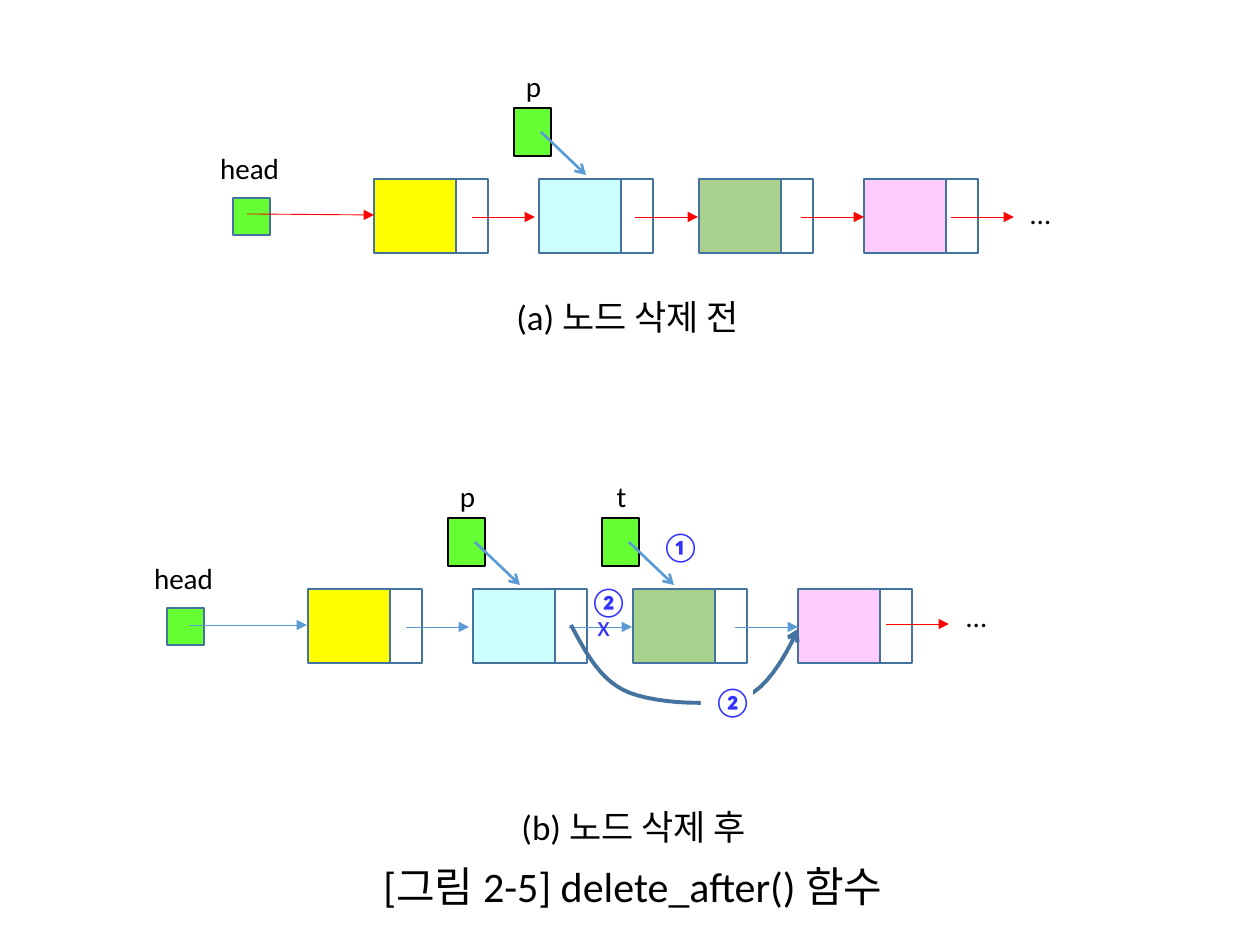
"""Builds the figure of a linked list before and after delete_after()."""
from lxml import etree
from pptx import Presentation, util as u
from pptx.dml.color import RGBColor
from pptx.enum import shapes, text
from pptx.oxml.ns import qn

PX = 914400 / 126
COLORS = {
    "black": "000000", "white": "FFFFFF", "border": "43739E", "red": "FF0000",
    "blue": "5B9BD5", "step": "3333FF", "pointer": "66FF33", "yellow": "FFFF00",
    "cyan": "CCFFFF", "green": "A9D18E", "pink": "FFCCFF",
}
FONT = {"name": "Calibri", "size": u.Pt(16.6)}
CENTER, LEFT = text.PP_ALIGN.CENTER, text.PP_ALIGN.LEFT


def add_cell(x, y, width, height, fill, border="border", weight=1.5):
    cell = slide.shapes.add_shape(
        shapes.MSO_SHAPE.RECTANGLE, *[round(v * PX) for v in (x, y, width, height)])
    cell.shadow.inherit = False
    if fill:
        cell.fill.solid()
        cell.fill.fore_color.rgb = RGBColor.from_string(COLORS[fill])
    else:
        cell.fill.background()
    cell.line.color.rgb = RGBColor.from_string(COLORS[border])
    cell.line.width = u.Pt(weight)


def style_arrow(arrow, color, weight, head):
    arrow.line.color.rgb = RGBColor.from_string(COLORS[color])
    arrow.line.width = u.Pt(weight)
    properties = arrow._element.spPr
    etree.SubElement(properties.find(qn("a:ln")), qn("a:tailEnd"), type=head)
    if properties.find(qn("a:effectLst")) is None:
        etree.SubElement(properties, qn("a:effectLst"))


prs = Presentation()
prs.slide_width, prs.slide_height = u.Inches(10), u.Inches(7.5)
slide = prs.slides.add_slide(prs.slide_layouts[6])

nodes = [(374, "yellow"), (539, "cyan"), (699, "green"), (864, "pink")]
link_starts = [472, 635, 801]
lists = [
    {"dx": 0, "dy": 0, "link": "red", "head": (247, 214, 374, 215),
     "last": (951, 217), "more": (1018, 189), "pointers": [("p", 0)]},
    {"dx": -66, "dy": 410, "link": "blue", "head": (189, 625, 307, 625),
     "last": (886, 624), "more": (954, 592), "pointers": [("p", 0), ("t", 154)]},
]
links, labels = [], []

for state in lists:
    dx, dy = state["dx"], state["dy"]
    labels.append(("head", 199 + dx, 144 + dy, 101, CENTER, "black", False))
    labels.append(("…", *state["more"], 101, LEFT, "black", False))
    add_cell(233 + dx, 198 + dy, 37, 37, "pointer")
    for x, fill in nodes:
        add_cell(x + dx, 179 + dy, 82, 74, fill)
        add_cell(x + dx + 82, 179 + dy, 32, 74, None)
    links.append((*state["head"], state["link"], 0.5, "triangle"))
    for x in link_starts:
        links.append((x + dx, 217 + dy, x + dx + 63, 217 + dy,
                      state["link"], 0.5, "triangle"))
    last_x, last_y = state["last"]
    links.append((last_x, last_y, last_x + 63, last_y, "red", 0.5, "triangle"))
    for name, shift in state["pointers"]:
        x = dx + shift
        add_cell(514 + x, 108 + dy, 37, 48, "pointer", "black", 0.75)
        links.append((541 + x, 132 + dy, 586 + x, 175 + dy, "blue", 1.5, "arrow"))
        labels.append((name, 509 + x, 62 + dy, 49, CENTER, "black", False))

for *ends, color, weight, head in links:
    link = slide.shapes.add_connector(
        shapes.MSO_CONNECTOR.STRAIGHT, *[round(v * PX) for v in ends])
    style_arrow(link, color, weight, head)

bends = [
    [(571, 625), (586, 653), (601, 682), (630, 693)],
    [(630, 693), (659, 704), (719, 707), (747, 696)],
    [(747, 696), (775, 684), (798, 629), (798, 629)],
]
steps = 12
route = []
for bend in bends:
    for step in range(1, steps + 1):
        t = step / steps
        weights = ((1 - t) ** 3, 3 * t * (1 - t) ** 2, 3 * t * t * (1 - t), t ** 3)
        route.append(tuple(
            round(PX * sum(w * point[axis] for w, point in zip(weights, bend)))
            for axis in (0, 1)))
start_x, start_y = bends[0][0]
builder = slide.shapes.build_freeform(round(start_x * PX), round(start_y * PX))
builder.add_line_segments(route, close=False)
bypass = builder.convert_to_shape()
bypass.shadow.inherit = False
bypass.fill.background()
style_arrow(bypass, "border", 2.25, "arrow")

labels += [
    ("①", 649, 522, 52, LEFT, "step", True),
    ("②", 577, 577, 52, LEFT, "step", True),
    ("②", 701, 677, 52, LEFT, "step", True),
    ("x", 585, 601, 38, LEFT, "step", False),
]
for wording, x, y, width, align, color, bold in labels:
    label = slide.shapes.add_textbox(*[round(v * PX) for v in (x, y, width, 48)])
    if (x, y) == (701, 677):
        label.fill.solid()
        label.fill.fore_color.rgb = RGBColor.from_string(COLORS["white"])
    label.text_frame.word_wrap = True
    paragraph = label.text_frame.paragraphs[0]
    paragraph.alignment = align
    run = paragraph.add_run()
    run.text = wording
    for key, value in {**FONT, "bold": bold}.items():
        setattr(run.font, key, value)
    run.font.color.rgb = RGBColor.from_string(COLORS[color])

captions = [
    (504, 289, 300, 55, [("(a) 노드 삭제 전", 20, LEFT, 0, {})]),
    (233, 796, 800, 121, [
        ("(b) 노드 삭제 후", 20, LEFT, 276,
         {"line_spacing": 1.07, "space_after": u.Pt(7.4)}),
        ("[그림 2-5] delete_after() 함수", 24, CENTER, 0, {}),
    ]),
]
for *place, lines in captions:
    caption = slide.shapes.add_textbox(*[round(v * PX) for v in place])
    frame = caption.text_frame
    frame.word_wrap = True
    for number, (wording, size, align, indent, spacing) in enumerate(lines):
        paragraph = frame.add_paragraph() if number else frame.paragraphs[0]
        for key, value in {"alignment": align, **spacing}.items():
            setattr(paragraph, key, value)
        if indent:
            paragraph._p.get_or_add_pPr().set("marL", str(round(indent * PX)))
        run = paragraph.add_run()
        run.text = wording
        for key, value in {**FONT, "size": u.Pt(size)}.items():
            setattr(run.font, key, value)
        run.font.color.rgb = RGBColor.from_string(COLORS["black"])

prs.save("out.pptx")
